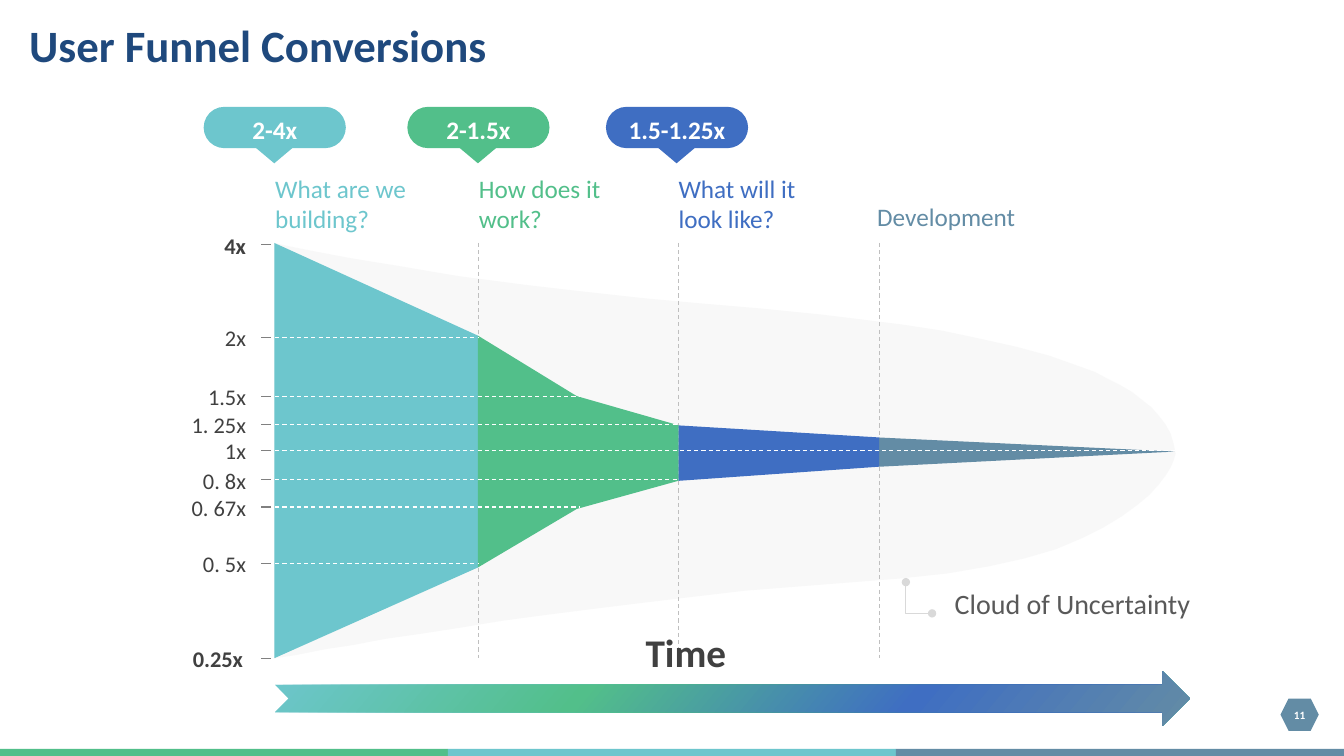
from lxml import etree
from pptx import Presentation
from pptx.dml.color import RGBColor
from pptx.enum.dml import MSO_LINE
from pptx.enum.shapes import MSO_CONNECTOR, MSO_SHAPE
from pptx.enum.text import MSO_ANCHOR, MSO_AUTO_SIZE, PP_ALIGN
from pptx.oxml.ns import qn
from pptx.util import Inches, Pt

FONT = "Calibri"
TEAL = RGBColor(0x6D, 0xC6, 0xCD)
GREEN = RGBColor(0x52, 0xBF, 0x8A)
BLUE = RGBColor(0x3F, 0x6E, 0xC2)
SLATE = RGBColor(0x63, 0x8C, 0xA5)
NAVY = RGBColor(0x1F, 0x49, 0x7D)
WHITE = RGBColor(0xFF, 0xFF, 0xFF)
DARK = RGBColor(0x40, 0x40, 0x40)
TEXT_GREY = RGBColor(0x59, 0x59, 0x59)
TICK_GREY = RGBColor(0x80, 0x80, 0x80)
DASH_GREY = RGBColor(0xBF, 0xBF, 0xBF)
ELBOW_GREY = RGBColor(0xD9, 0xD9, 0xD9)
CLOUD_GREY = RGBColor(0xF2, 0xF2, 0xF2)

LEFT, CENTER, RIGHT = PP_ALIGN.LEFT, PP_ALIGN.CENTER, PP_ALIGN.RIGHT
TOP, MIDDLE = MSO_ANCHOR.TOP, MSO_ANCHOR.MIDDLE
GROW = MSO_AUTO_SIZE.SHAPE_TO_FIT_TEXT
DASH = MSO_LINE.DASH
STRAIGHT, ELBOW = MSO_CONNECTOR.STRAIGHT, MSO_CONNECTOR.ELBOW
RECTANGLE, HEXAGON = MSO_SHAPE.RECTANGLE, MSO_SHAPE.HEXAGON
PILL, TRIANGLE = MSO_SHAPE.ROUNDED_RECTANGLE, MSO_SHAPE.ISOSCELES_TRIANGLE
TIME_ARROW = MSO_SHAPE.NOTCHED_RIGHT_ARROW

CHART_TOP, CHART_BOTTOM = 2.41, 6.53

CLOUD = [
    (2.72, 2.41), (2.85, 2.44), (3.1, 2.49), (3.47, 2.56), (3.96, 2.64),
    (4.55, 2.74), (5.24, 2.83), (5.76, 2.89), (6.4, 2.96), (6.95, 3.01),
    (7.54, 3.06), (8.14, 3.12), (8.55, 3.17), (8.95, 3.22), (9.34, 3.28),
    (9.72, 3.36), (10.08, 3.44), (10.41, 3.53), (10.72, 3.64), (10.86, 3.69),
    (10.99, 3.76), (11.11, 3.82), (11.23, 3.89), (11.33, 3.97), (11.42, 4.04),
    (11.49, 4.12), (11.56, 4.21), (11.61, 4.3), (11.64, 4.4), (11.66, 4.5),
    (11.64, 4.57), (11.61, 4.64), (11.56, 4.72), (11.49, 4.81), (11.4, 4.91),
    (11.28, 5.01), (11.13, 5.12), (10.95, 5.23), (10.73, 5.34), (10.47, 5.45),
    (10.16, 5.54), (9.8, 5.62), (9.39, 5.69), (8.92, 5.74), (8.41, 5.78),
    (7.9, 5.82), (7.39, 5.86), (6.88, 5.92), (6.38, 5.98), (5.89, 6.04),
    (5.42, 6.1), (4.97, 6.16), (4.55, 6.23), (4.16, 6.29), (3.81, 6.34),
    (3.5, 6.4), (3.23, 6.44), (2.93, 6.5), (2.72, 6.53),
]

FUNNEL = [
    (TEAL, [(2.72, 2.41), (4.74, 3.33), (4.74, 5.63), (2.72, 6.53)]),
    (GREEN, [(4.74, 3.33), (5.72, 3.93), (6.73, 4.22),
             (6.73, 4.77), (5.72, 5.05), (4.74, 5.63)]),
    (SLATE, [(8.72, 4.34), (11.65, 4.48), (8.72, 4.63)]),
    (BLUE, [(6.73, 4.22), (8.72, 4.34), (8.72, 4.63), (6.73, 4.77)]),
]

# Label, label left, tick height, right end of the guide (None for no guide)
LEVELS = [
    ("4x", 1.41, 2.43, None), ("2x", 1.41, 3.35, 4.75),
    ("1.5x", 1.41, 3.93, 5.74), ("1. 25x", 1.41, 4.21, 6.73),
    ("1x", 1.41, 4.47, 11.65), ("0. 8x", 1.41, 4.76, 6.73),
    ("0. 67x", 1.41, 5.03, 5.74), ("0. 5x", 1.41, 5.59, 4.75),
    ("0.25x", 1.38, 6.53, None),
]

# Range, pill left, question left, question lines, colour
STAGES = [
    ("2-4x", 2.02, 2.73, ["What are we building?"], TEAL),
    ("2-1.5x", 4.04, 4.75, ["How does it", "work?"], GREEN),
    ("1.5-1.25x", 6.01, 6.73, ["What will it look like?"], BLUE),
]


def paint(shape, color):
    shape.fill.solid()
    shape.fill.fore_color.rgb = color
    shape.line.fill.background()
    shape.shadow.inherit = False


def write(shape, lines, size, color, bold=False, align=LEFT, anchor=TOP,
          side=0, edge=0, wrap=True, spacing=None):
    frame = shape.text_frame
    frame.word_wrap = wrap
    frame.vertical_anchor = anchor
    frame.margin_left = frame.margin_right = Inches(side)
    frame.margin_top = frame.margin_bottom = Inches(edge)
    for index, line in enumerate(lines):
        para = frame.add_paragraph() if index else frame.paragraphs[0]
        para.alignment = align
        if spacing:
            para.line_spacing = spacing
        span = para.add_run()
        span.text = line
        span.font.name = FONT
        span.font.size = Pt(size)
        span.font.bold = bold
        span.font.color.rgb = color


def add_text(page, at, lines, size, color, grow=True, **style):
    box = page.shapes.add_textbox(*map(Inches, at))
    write(box, lines, size, color, **style)
    if grow:
        box.text_frame.auto_size = GROW


def add_block(page, kind, at, color):
    block = page.shapes.add_shape(kind, *map(Inches, at))
    paint(block, color)
    return block


def add_outline(page, points, color):
    corners = [(Inches(x), Inches(y)) for x, y in points]
    builder = page.shapes.build_freeform(*corners[0])
    builder.add_line_segments(corners[1:], close=True)
    outline = builder.convert_to_shape()
    paint(outline, color)
    return outline


def add_line(page, start, end, color, dash=None, kind=STRAIGHT):
    line = page.shapes.add_connector(kind, *map(Inches, start + end))
    line.line.color.rgb = color
    line.line.width = Pt(0.75)
    if dash:
        line.line.dash_style = dash
    etree.SubElement(line._element.spPr, qn("a:effectLst"))
    return line


def add_cloud(page):
    cloud = add_outline(page, CLOUD, CLOUD_GREY)
    tint = cloud._element.spPr.find(qn("a:solidFill"))[0]
    etree.SubElement(tint, qn("a:alpha"), val="50000")


def add_cloud_pointer(page):
    pointer = add_line(page, (9.27, 5.8), (8.96, 6.06), ELBOW_GREY, kind=ELBOW)
    props = pointer._element.spPr
    props.find(qn("a:xfrm")).set("rot", "16200000")
    props.find(qn("a:prstGeom")).set("prst", "bentConnector2")
    for end in ("a:headEnd", "a:tailEnd"):
        etree.SubElement(props.find(qn("a:ln")), qn(end), type="oval")


def add_time_arrow(page):
    arrow = add_block(page, TIME_ARROW, (2.73, 6.66, 9.07, 0.54), TEAL)
    arrow.fill.gradient()
    gradient = arrow._element.spPr.find(qn("a:gradFill"))
    stops = gradient.find(qn("a:gsLst"))
    for stop in list(stops):
        stops.remove(stop)
    for percent, color in ((0, TEAL), (34, GREEN), (69, BLUE), (100, SLATE)):
        stop = etree.SubElement(stops, qn("a:gs"), pos=str(percent * 1000))
        etree.SubElement(stop, qn("a:srgbClr"), val=str(color))
    direction = gradient.find(qn("a:lin"))
    direction.set("ang", str(40 * 60000))
    direction.set("scaled", "0")


def add_stage(page, label, left, text_left, question, color):
    add_text(page, (text_left, 1.72, 1.48, 0.63), question, 18, color)
    pill = add_block(page, PILL, (left, 1.06, 1.41, 0.41), color)
    pill.adjustments[0] = 0.5
    write(pill, [label], 18, WHITE, bold=True, align=CENTER, anchor=MIDDLE,
          side=0.04, spacing=1.1)
    pointer = add_block(page, TRIANGLE, (left + 0.51, 1.46, 0.38, 0.16), color)
    pointer.rotation = 180


def main():
    deck = Presentation()
    deck.slide_width, deck.slide_height = Inches(13.33), Inches(7.5)
    page = deck.slides.add_slide(deck.slide_layouts[6])

    # Footer band, page number and title
    for index, color in enumerate((GREEN, TEAL, SLATE)):
        width = 13.33 / 3
        add_block(page, RECTANGLE, (index * width, 7.43, width, 0.07), color)
    badge = add_block(page, HEXAGON, (12.7, 6.93, 0.38, 0.32), SLATE)
    write(badge, ["11"], 8, WHITE, bold=True, align=CENTER, anchor=MIDDLE)
    add_text(page, (0.29, 0.28, 12.76, 0.32), ["User Funnel Conversions"],
             32, NAVY, grow=False, bold=True, anchor=MIDDLE)

    # Cloud, stage dividers and funnel
    add_cloud(page)
    for x in (4.75, 6.73, 8.72):
        add_line(page, (x, CHART_TOP), (x, CHART_BOTTOM), DASH_GREY, DASH)
    for color, points in FUNNEL:
        add_outline(page, points, color)

    # Scale with guides, ticks and labels
    for label, left, y, guide_end in LEVELS:
        if guide_end:
            add_line(page, (2.73, y), (guide_end, y), WHITE, DASH)
        add_line(page, (2.69, y), (2.59, y), TICK_GREY)
        add_text(page, (left, y - 0.13, 1.03, 0.28), [label], 16, DARK,
                 bold=guide_end is None, align=RIGHT)

    # Cloud caption and time axis
    add_text(page, (9.37, 5.77, 2.58, 0.8), ["Cloud of Uncertainty"],
             20, TEXT_GREY, side=0.1, edge=0.05)
    add_cloud_pointer(page)
    add_time_arrow(page)
    add_text(page, (6.25, 6.17, 1.05, 0.59), ["Time"], 28, DARK, bold=True,
             align=RIGHT, anchor=MIDDLE, side=0.1, edge=0.05, wrap=False)

    # Stage headings
    for stage in STAGES:
        add_stage(page, *stage)
    add_text(page, (8.7, 2, 1.48, 0.31), ["Development"], 18, SLATE)

    deck.save("out.pptx")


if __name__ == "__main__":
    main()
